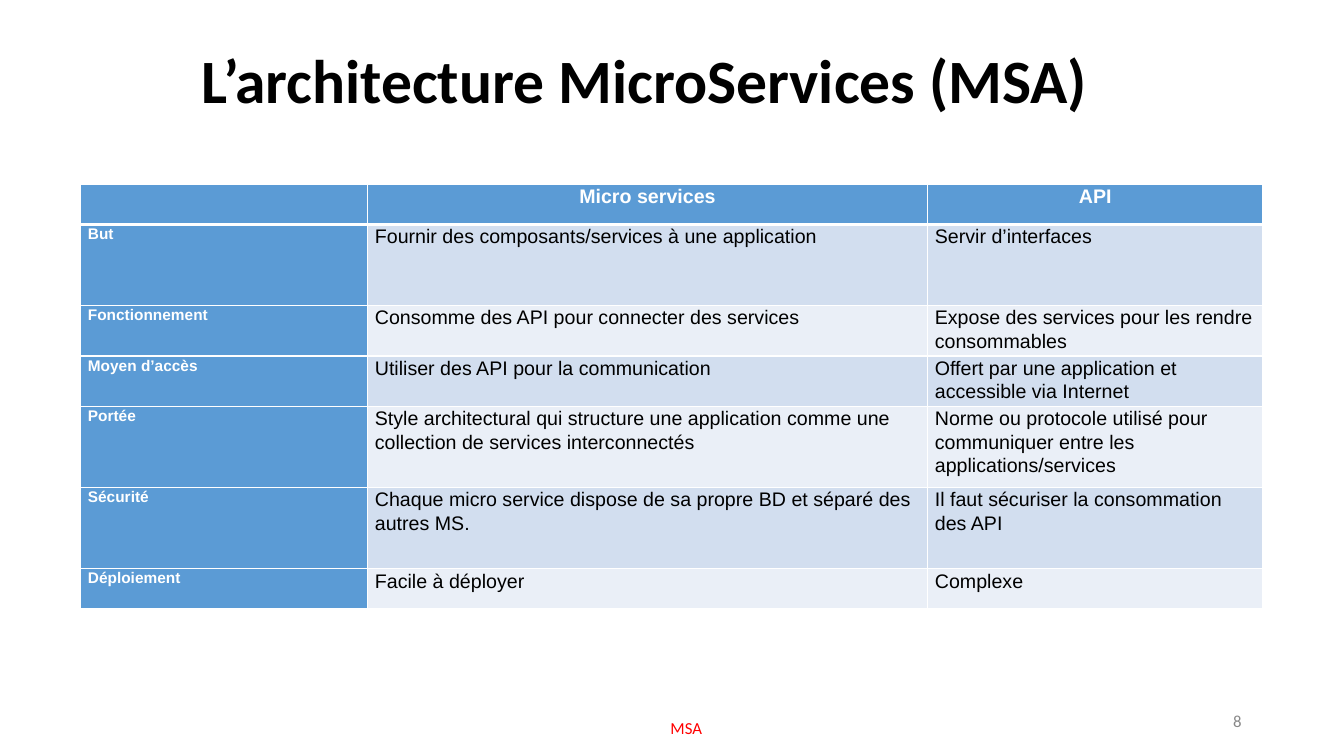
from lxml.etree import SubElement
from pptx import Presentation
from pptx.dml.color import RGBColor
from pptx.enum.text import MSO_ANCHOR, PP_ALIGN
from pptx.oxml.ns import qn
from pptx.util import Pt

COLORS = {
    "title": "000000",
    "header": "5B9BD5",
    "odd": "D2DEEF",
    "even": "EAEFF7",
    "text": "000000",
    "light": "FFFFFF",
    "footer": "FF0000",
    "number": "888888",
}

COLUMN_WIDTHS = [205, 400, 239.6]
ROW_HEIGHTS = [28.5, 58, 36, 36, 58, 58, 28.5]
COMPARISON = [
    ["", "Micro services", "API"],
    ["But", "Fournir des composants/services à une application", "Servir d’interfaces"],
    ["Fonctionnement", "Consomme des API pour connecter des services",
     "Expose des services pour les rendre consommables"],
    ["Moyen d’accès", "Utiliser des API pour la communication",
     "Offert par une application et accessible via Internet"],
    ["Portée",
     "Style architectural qui structure une application comme une collection de services interconnectés",
     "Norme ou protocole utilisé pour communiquer entre les applications/services"],
    ["Sécurité", "Chaque micro service dispose de sa propre BD et séparé des autres MS.",
     "Il faut sécuriser la consommation des API"],
    ["Déploiement", "Facile à déployer", "Complexe"],
]


class SlideBuilder:
    def __init__(self, slide, heading_font="Calibri", table_font="Arial"):
        self.slide = slide
        self.heading_font = heading_font
        self.table_font = table_font

    def style(self, paragraph, font_name, size, color, bold, align, spacing):
        paragraph.alignment = align
        paragraph.line_spacing = spacing
        font = paragraph.font
        font.name = font_name
        font.size = Pt(size)
        font.bold = bold
        font.color.rgb = RGBColor.from_string(COLORS[color])

    def text(self, text, box, size, color, align, bold=False, spacing=1.0, insets=(7.2, 3.6, 7.2, 3.6)):
        shape = self.slide.shapes.add_textbox(*map(Pt, box))
        frame = shape.text_frame
        frame.word_wrap = True
        frame.vertical_anchor = MSO_ANCHOR.MIDDLE
        (frame.margin_left, frame.margin_top,
         frame.margin_right, frame.margin_bottom) = map(Pt, insets)
        frame.text = text
        self.style(frame.paragraphs[0], self.heading_font, size, color, bold, align, spacing)

    def borders(self, cell, bottom):
        properties = cell._tc.get_or_add_tcPr()
        widths = {"lnL": 1, "lnR": 1, "lnT": 1, "lnB": bottom}
        for position, (side, width) in enumerate(widths.items()):
            line = SubElement(properties, qn(f"a:{side}"), w=str(Pt(width)))
            fill = SubElement(line, qn("a:solidFill"))
            SubElement(fill, qn("a:srgbClr"), val=COLORS["light"])
            properties.insert(position, line)

    def cell(self, cell, text, row, column):
        is_header = row == 0
        is_label = is_header or column == 0
        cell.margin_left = cell.margin_right = Pt(5.2)
        cell.margin_top = cell.margin_bottom = Pt(0)
        cell.text = text
        self.style(
            cell.text_frame.paragraphs[0], self.table_font,
            size=11 if column == 0 else 14,
            color="light" if is_label else "text",
            bold=is_label,
            align=PP_ALIGN.CENTER if is_header else PP_ALIGN.LEFT,
            spacing=1.07,
        )
        fill = "header" if is_label else ("odd" if row % 2 else "even")
        cell.fill.solid()
        cell.fill.fore_color.rgb = RGBColor.from_string(COLORS[fill])
        self.borders(cell, bottom=3 if is_header else 1)

    def table(self, rows, left, top, widths, heights):
        frame = self.slide.shapes.add_table(
            len(heights), len(widths), Pt(left), Pt(top), Pt(sum(widths)), Pt(sum(heights)))
        table = frame.table
        for column, width in zip(table.columns, widths):
            column.width = Pt(width)
        for row, height in zip(table.rows, heights):
            row.height = Pt(height)
        for row, texts in enumerate(rows):
            for column, text in enumerate(texts):
                self.cell(table.cell(row, column), text, row, column)


def main():
    presentation = Presentation()
    presentation.slide_width = Pt(960)
    presentation.slide_height = Pt(540)
    builder = SlideBuilder(presentation.slides.add_slide(presentation.slide_layouts[6]))
    builder.text("8", (678, 500.4, 216, 28.8), 12, "number", PP_ALIGN.RIGHT)
    builder.text("MSA", (370, 510.5, 240.5, 14.4), 12, "footer", PP_ALIGN.CENTER,
                 spacing=1.27, insets=(0, 0, 0, 0))
    builder.text("L’architecture MicroServices (MSA)", (85, 15, 715.7, 90), 44, "title",
                 PP_ALIGN.CENTER, bold=True, spacing=0.9, insets=(43.2, 3.6, 7.2, 3.6))
    builder.table(COMPARISON, 57.6, 131.8, COLUMN_WIDTHS, ROW_HEIGHTS)
    presentation.save("out.pptx")


if __name__ == "__main__":
    main()
